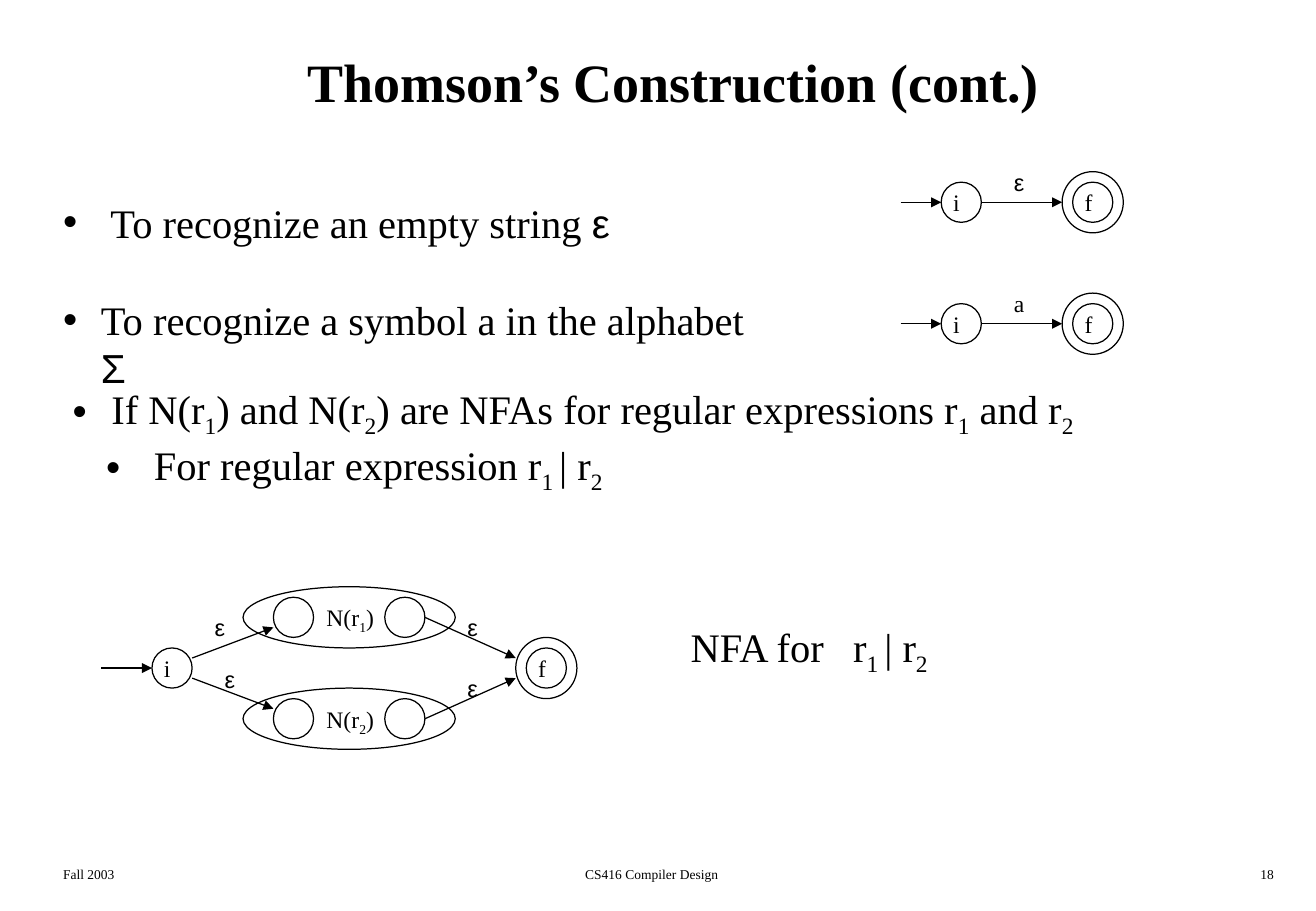
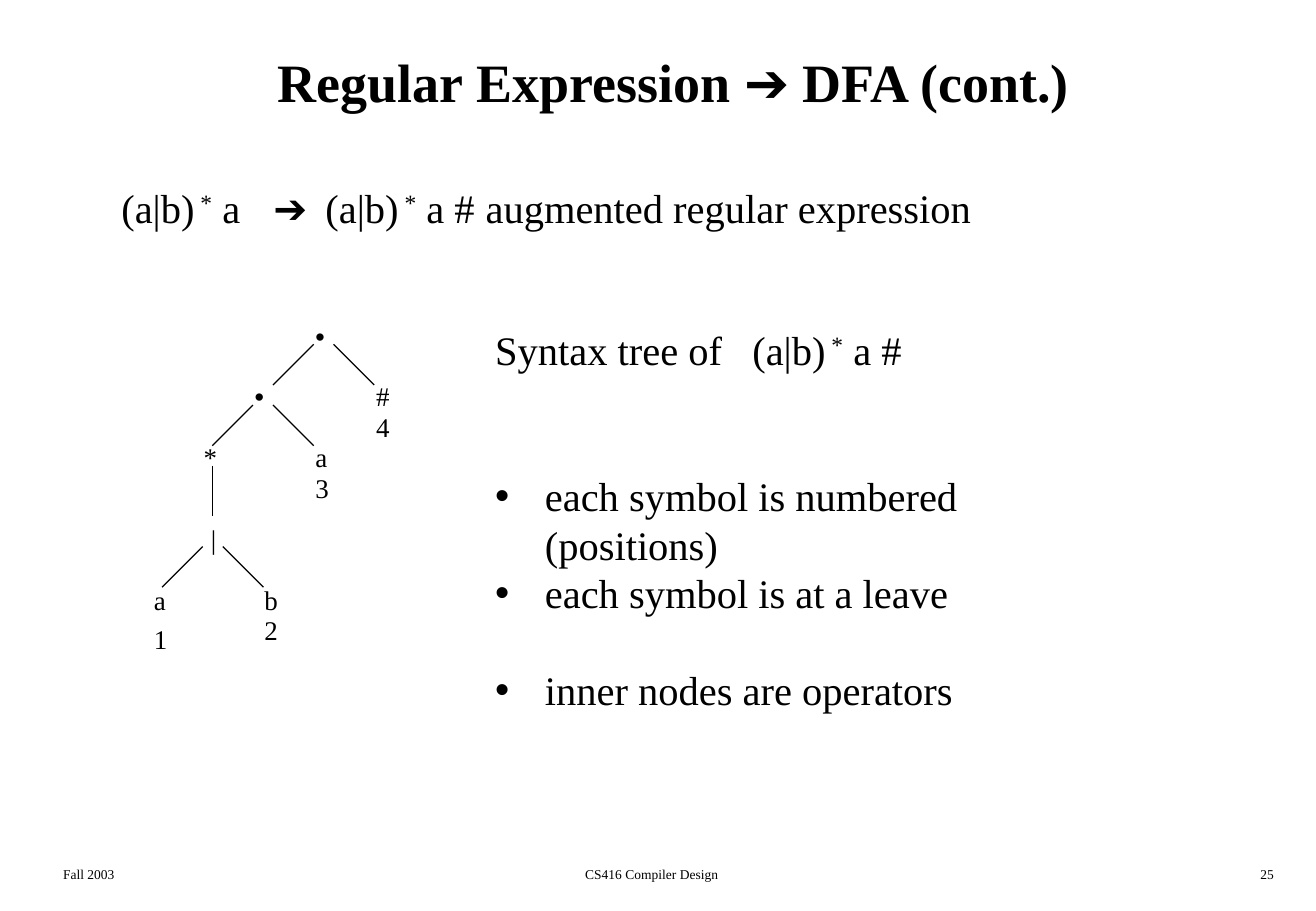
"""Build two compiler design slides: Thomson's construction and a syntax tree."""
from lxml import etree
from pptx import Presentation
from pptx.dml.color import RGBColor
from pptx.enum.shapes import MSO_CONNECTOR, MSO_SHAPE
from pptx.enum.text import MSO_ANCHOR, PP_ALIGN
from pptx.oxml.ns import qn
from pptx.util import Cm, Pt

LEFT, CENTER, RIGHT = PP_ALIGN.LEFT, PP_ALIGN.CENTER, PP_ALIGN.RIGHT
TOP, MIDDLE = MSO_ANCHOR.TOP, MSO_ANCHOR.MIDDLE
OVAL, STRAIGHT = MSO_SHAPE.OVAL, MSO_CONNECTOR.STRAIGHT

COLORS = {"ink": "000000", "paper": "FFFFFF"}
SERIF, SANS = "Times New Roman", "Arial"
BODY_SIZE, BODY_LINE = 24, 28.8
STATE_R, FINAL_R, OFFSET, ARROW = 0.42, 0.64, 0.21, 0.85

SUB, SUP, SYMBOL = {"base": -25}, {"base": 30}, {"font": SANS}
STAR = (" *", SUP)
R1_OR_R2 = [("1 ", SUB), "| r", ("2", SUB)]

FOOTERS = [("Fall 2003", 1.07, 5.74, LEFT), ("CS416 Compiler Design", 8.48, 10.31, CENTER)]
NUMBER_BOX = (21.16, 5.74, RIGHT)

THOMSON = {
    "title": ["Thomson’s Construction (cont.)"],
    "number": "18",
    "bodies": [
        ((1.07, 4.01, 15.24, 4.32), [
            {"runs": ["To recognize an empty string ", ("ε", SYMBOL)], "bullet": (0, 0.99)},
            {"runs": ["To recognize a symbol a in the alphabet ", ("Σ", SYMBOL)],
             "bullet": (0, 0.79), "before": BODY_LINE},
        ]),
        ((1.27, 8.05, 21.56, 2.57), [
            {"runs": ["If N(r", ("1", SUB), ") and N(r", ("2", SUB),
                      ") are NFAs for regular expressions r", ("1", SUB), " and r", ("2", SUB)],
             "bullet": (0, 0.81)},
            {"runs": ["For regular expression r"] + R1_OR_R2, "bullet": (0.7, 1.7), "before": 4},
        ]),
        ((14.2, 13.03, 5.59, 1.42), [{"runs": ["NFA for\tr"] + R1_OR_R2, "tabs": [3.4]}]),
    ],
}
SIMPLE_NFAS = [(("ε", SYMBOL), 4.23), ("a", 6.77)]
SIMPLE_I, SIMPLE_F = 20.11, 22.86
UNION_I, UNION_F, UNION_Y = 3.6, 11.43, 13.97
BRANCH_IN, BRANCH_OUT, BRANCH_GAP = 6.14, 8.47, 1.06
BRANCHES = [("1", -1), ("2", 1)]
EPSILONS = [(4.24, 12.7), (9.53, 12.7), (9.53, 13.97), (4.45, 13.77)]

TREE = {
    "title": ["Regular Expression ", ("➔", SYMBOL), " DFA (cont.)"],
    "number": "25",
    "bodies": [
        ((2.29, 3.71, 18.49, 1.27), [
            {"runs": ["(a|b)", STAR, " a\t", ("➔", SYMBOL), "\t(a|b)", STAR,
                      " a #\taugmented regular expression"], "tabs": [3.18, 4.27, 7.62]},
        ]),
        ((10.11, 6.68, 13.69, 8.38), [
            {"runs": ["Syntax tree of\t(a|b)", STAR, " a #"], "tabs": [5.38]},
            {"runs": ["each symbol is numbered (positions)"], "bullet": (0, 1.04),
             "before": 2 * BODY_LINE},
            {"runs": ["each symbol is at a leave"], "bullet": (0, 1.04)},
            {"runs": ["inner nodes are operators"], "bullet": (0, 1.04), "before": BODY_LINE},
        ]),
    ],
}
OPERATORS = [(("•", SYMBOL), 6.35, 6.55), (("•", SYMBOL), 5.08, 7.82),
             ("*", 4.01, 9.09), ("|", 4.16, 10.8)]
LEAVES = [("a", "1", 2.97, 12.07, 0.83), ("b", "2", 5.28, 12.07, 0.64),
          ("a", "3", 6.35, 9.09, 0.64), ("#", "4", 7.62, 7.82, 0.64)]
FORKS = [(6.77, 7.2), (5.5, 8.47), (4.45, 11.43)]
STEM = (4.45, 9.74, 4.45, 10.8)


def rgb(name):
    return RGBColor.from_string(COLORS[name])


def add_runs(p, runs, size, bold=False):
    for item in runs:
        text, style = (item, {}) if isinstance(item, str) else item
        r = p.add_run()
        r.text = text
        r.font.size, r.font.bold = Pt(size), bold
        r.font.name = style.get("font", SERIF)
        r.font.color.rgb = rgb("ink")
        if "base" in style:
            r.font._element.set("baseline", str(style["base"] * 1000))


def add_box(s, box, runs=(), size=BODY_SIZE, align=LEFT, anchor=TOP, bold=False):
    sp = s.shapes.add_textbox(*map(Cm, box))
    tf = sp.text_frame
    tf.word_wrap, tf.vertical_anchor = True, anchor
    p = tf.paragraphs[0]
    p.alignment = align
    add_runs(p, runs, size, bold)
    return tf


def add_bullet(p, start, text_at):
    pPr = p._p.get_or_add_pPr()
    pPr.set("marL", str(Cm(text_at)))
    pPr.set("indent", str(Cm(start) - Cm(text_at)))
    etree.SubElement(pPr, qn("a:buFont")).set("typeface", SANS)
    etree.SubElement(pPr, qn("a:buChar")).set("char", "•")


def add_tabs(p, stops):
    tab_list = etree.SubElement(p._p.get_or_add_pPr(), qn("a:tabLst"))
    for stop in stops:
        tab = etree.SubElement(tab_list, qn("a:tab"))
        tab.set("pos", str(Cm(stop)))
        tab.set("algn", "l")


def add_body(s, box, paragraphs):
    tf = add_box(s, box)
    for i, item in enumerate(paragraphs):
        p = tf.add_paragraph() if i else tf.paragraphs[0]
        p.line_spacing = Pt(BODY_LINE)
        if "before" in item:
            p.space_before = Pt(item["before"])
        if "bullet" in item:
            add_bullet(p, *item["bullet"])
        if "tabs" in item:
            add_tabs(p, item["tabs"])
        add_runs(p, item["runs"], BODY_SIZE)


def add_label(s, runs, x, y, size=14, width=0.76):
    add_box(s, (x, y, width, 0.9), runs, size).margin_right = 0


def add_oval(s, cx, cy, rx, ry):
    sp = s.shapes.add_shape(OVAL, Cm(cx - rx), Cm(cy - ry), Cm(2 * rx), Cm(2 * ry))
    sp.shadow.inherit = False
    sp.fill.background()
    sp.line.color.rgb, sp.line.width = rgb("ink"), Pt(0.75)


def add_line(s, x1, y1, x2, y2, arrow=False):
    line = s.shapes.add_connector(STRAIGHT, Cm(x1), Cm(y1), Cm(x2), Cm(y2))
    line.line.color.rgb, line.line.width = rgb("ink"), Pt(0.75)
    if arrow:
        etree.SubElement(line.line._get_or_add_ln(), qn("a:tailEnd")).set("type", "triangle")
    etree.SubElement(line._element.spPr, qn("a:effectLst"))


def add_state(s, cx, cy, name="", final=False):
    add_oval(s, cx, cy, STATE_R, STATE_R)
    if final:
        add_oval(s, cx, cy, FINAL_R, FINAL_R)
    if name:
        add_label(s, [name], cx - STATE_R, cy - STATE_R)


def add_ends(s, i_x, f_x, cy):
    left = i_x - STATE_R
    add_line(s, left - (ARROW if i_x == SIMPLE_I else 1.06), cy, left, cy, arrow=True)
    add_state(s, i_x, cy, "i")
    add_state(s, f_x, cy, "f", final=True)


def add_simple_nfa(s, symbol, cy):
    add_ends(s, SIMPLE_I, SIMPLE_F, cy)
    add_line(s, SIMPLE_I + STATE_R, cy, SIMPLE_F - FINAL_R, cy, arrow=True)
    add_label(s, [symbol], 20.96, cy - ARROW)


def add_union_nfa(s):
    add_ends(s, UNION_I, UNION_F, UNION_Y)
    for index, side in BRANCHES:
        cy, near = UNION_Y + side * BRANCH_GAP, UNION_Y + side * OFFSET
        add_oval(s, (BRANCH_IN + BRANCH_OUT) / 2, cy, 2.22, FINAL_R)
        add_state(s, BRANCH_IN, cy)
        add_state(s, BRANCH_OUT, cy)
        add_label(s, ["N(r", (index, SUB), ")"], 6.58, cy - STATE_R, width=1.5)
        add_line(s, UNION_I + STATE_R, near, BRANCH_IN - STATE_R, cy - side * OFFSET, arrow=True)
        add_line(s, BRANCH_OUT + STATE_R, cy, UNION_F - FINAL_R, near, arrow=True)
    for x, y in EPSILONS:
        add_label(s, [("ε", SYMBOL)], x, y)


def add_syntax_tree(s):
    for x, y in FORKS:
        for side in (-1, 1):
            start = x + side * OFFSET
            add_line(s, start, y, start + side * ARROW, y + ARROW)
    add_line(s, *STEM)
    for symbol, x, y in OPERATORS:
        add_label(s, [symbol], x, y, size=16)
    for symbol, position, x, y, drop in LEAVES:
        add_label(s, [symbol], x, y, size=16)
        add_label(s, [position], x, y + drop, size=16)


def add_slide(prs, content):
    s = prs.slides.add_slide(prs.slide_layouts[6])
    s.background.fill.solid()
    s.background.fill.fore_color.rgb = rgb("paper")
    add_box(s, (1.07, 0.43, 26.04, 2.54), content["title"], 32, CENTER, MIDDLE, bold=True)
    for text, x, width, align in FOOTERS + [(content["number"], *NUMBER_BOX)]:
        add_box(s, (x, 17.98, width, 0.64), [text], 8, align)
    for box, paragraphs in content["bodies"]:
        add_body(s, box, paragraphs)
    return s


def main():
    prs = Presentation()
    prs.slide_width, prs.slide_height = Cm(27.53), Cm(19.05)
    s = add_slide(prs, THOMSON)
    for symbol, cy in SIMPLE_NFAS:
        add_simple_nfa(s, symbol, cy)
    add_union_nfa(s)
    add_syntax_tree(add_slide(prs, TREE))
    prs.save("out.pptx")


if __name__ == "__main__":
    main()
